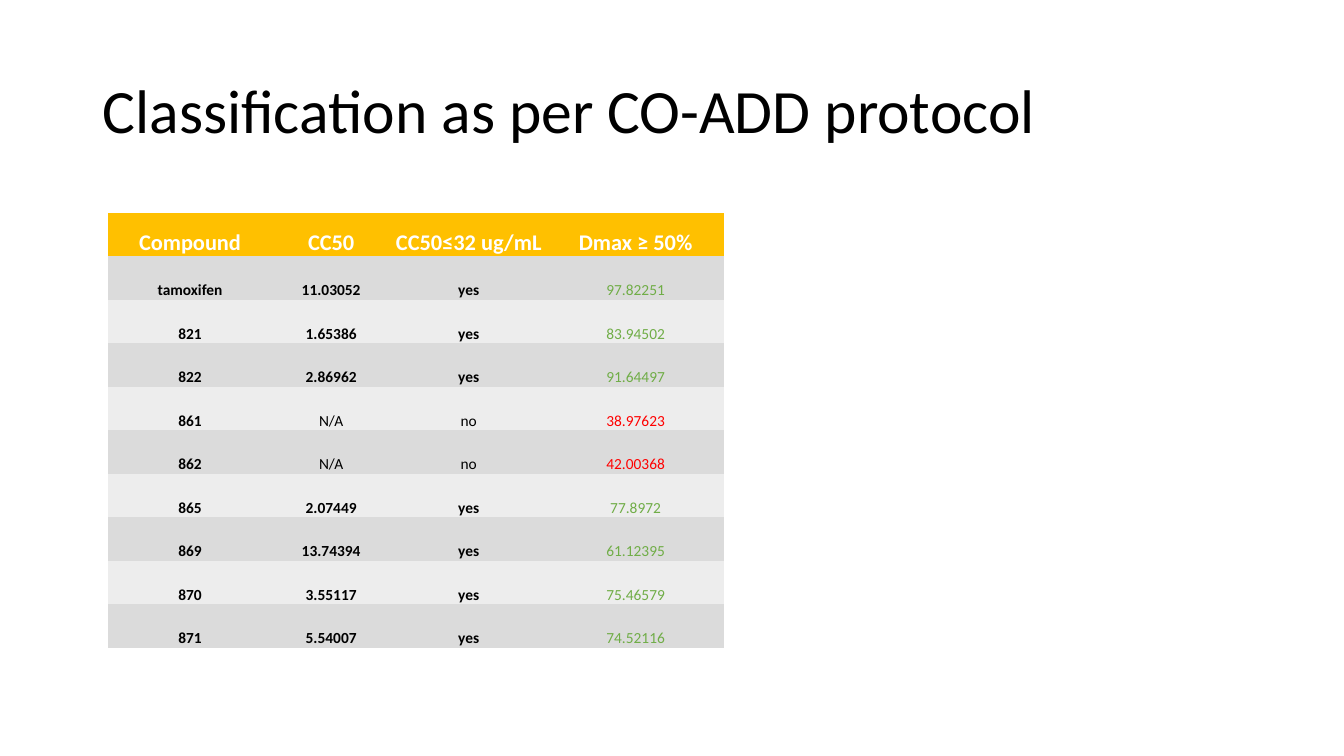
"""Build the slide that classifies compounds by the CO-ADD protocol."""
import dataclasses
import typing

import pptx
import pptx.dml.color
import pptx.enum.text
import pptx.util

Inches = pptx.util.Inches
RGBColor = pptx.dml.color.RGBColor
ANCHOR = pptx.enum.text.MSO_ANCHOR
ALIGN = pptx.enum.text.PP_ALIGN

BLACK = RGBColor(0x00, 0x00, 0x00)
WHITE = RGBColor(0xFF, 0xFF, 0xFF)
GOLD = RGBColor(0xFF, 0xC0, 0x00)
DARK = RGBColor(0xDB, 0xDB, 0xDB)
LIGHT = RGBColor(0xED, 0xED, 0xED)
GREEN = RGBColor(0x70, 0xAD, 0x47)
RED = RGBColor(0xFF, 0x00, 0x00)

PLAIN_STYLE = "{2D5ABB26-0587-4C30-8999-92F81FD0307C}"
LIMIT = 50
HEADS = ("Compound", "CC50", "CC50≤32 ug/mL", "Dmax ≥ 50%")
WIDTHS = (1.63, 1.17, 1.56, 1.75)
CELL = {
    "margin_left": Inches(0.01),
    "margin_right": Inches(0.01),
    "margin_top": Inches(0.01),
    "margin_bottom": 0,
    "vertical_anchor": ANCHOR.BOTTOM,
}


@dataclasses.dataclass(frozen=True)
class Result:
    name: str
    dose: str
    toxic: str
    peak: str


RESULTS = (
    Result("tamoxifen", "11.03052", "yes", "97.82251"),
    Result("821", "1.65386", "yes", "83.94502"),
    Result("822", "2.86962", "yes", "91.64497"),
    Result("861", "N/A", "no", "38.97623"),
    Result("862", "N/A", "no", "42.00368"),
    Result("865", "2.07449", "yes", "77.8972"),
    Result("869", "13.74394", "yes", "61.12395"),
    Result("870", "3.55117", "yes", "75.46579"),
    Result("871", "5.54007", "yes", "74.52116"),
)


def assign(target: typing.Any, values: dict[str, typing.Any]) -> None:
    for key, value in values.items():
        setattr(target, key, value)


def write(frame: typing.Any, text: str, size: int, color: RGBColor, bold: bool = False) -> typing.Any:
    line = frame.paragraphs[0]
    run = line.add_run()
    run.text = text
    assign(run.font, {"name": "Calibri", "size": pptx.util.Pt(size), "bold": bold})
    run.font.color.rgb = color
    return line


def fill_cell(cell: typing.Any, text: str, size: int, color: RGBColor, bold: bool, back: RGBColor) -> None:
    assign(cell, CELL)
    cell.fill.solid()
    cell.fill.fore_color.rgb = back
    write(cell.text_frame, text, size, color, bold).alignment = ALIGN.CENTER


def draw_title(slide: typing.Any) -> None:
    box = slide.shapes.add_textbox(Inches(0.92), Inches(0.4), Inches(11.5), Inches(1.45))
    assign(box.text_frame, {"word_wrap": True, "vertical_anchor": ANCHOR.MIDDLE})
    line = write(box.text_frame, "Classification as per CO-ADD protocol", 44, BLACK)
    line.line_spacing = 0.9


def draw_table(slide: typing.Any) -> None:
    frame = slide.shapes.add_table(
        len(RESULTS) + 1, len(HEADS), Inches(1.07), Inches(2.11), Inches(sum(WIDTHS)), Inches(4.32)
    )
    frame.element.xpath(".//a:tableStyleId")[0].text = PLAIN_STYLE
    table = frame.table
    for col, (head, width) in enumerate(zip(HEADS, WIDTHS)):
        table.columns[col].width = Inches(width)
        fill_cell(table.cell(0, col), head, 16, WHITE, True, GOLD)
    for row, result in enumerate(RESULTS, 1):
        back = DARK if row % 2 else LIGHT
        hit = result.toxic == "yes"
        grade = GREEN if float(result.peak) >= LIMIT else RED
        looks = ((BLACK, True), (BLACK, hit), (BLACK, hit), (grade, False))
        for col, (text, look) in enumerate(zip(dataclasses.astuple(result), looks)):
            color, bold = look
            fill_cell(table.cell(row, col), text, 11, color, bold, back)


def main() -> None:
    deck = pptx.Presentation()
    assign(deck, {"slide_width": Inches(13.33), "slide_height": Inches(7.5)})
    slide = deck.slides.add_slide(deck.slide_layouts[6])
    draw_title(slide)
    draw_table(slide)
    deck.save("out.pptx")


if __name__ == "__main__":
    main()
